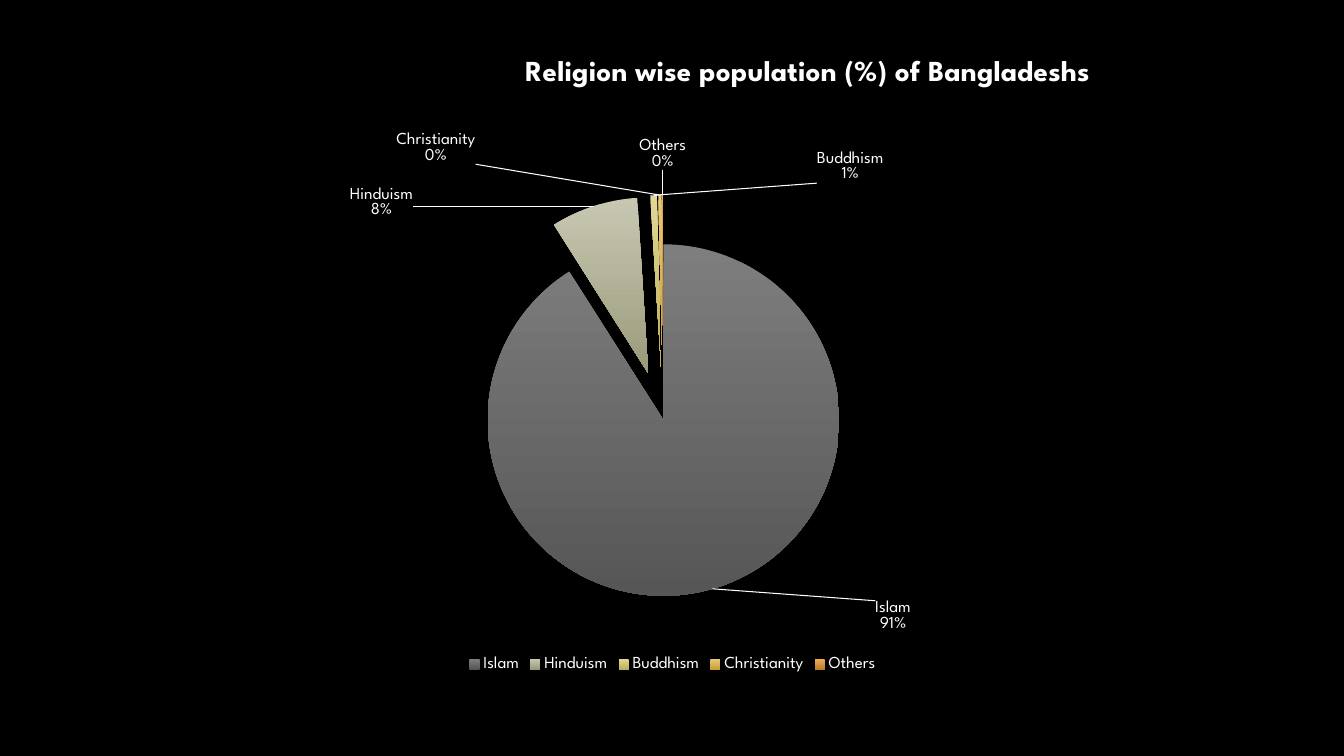
"""Build a slide with an exploded pie chart of religions in Bangladesh."""
from pptx import Presentation
from pptx.chart.data import CategoryChartData
from pptx.dml.color import RGBColor
from pptx.enum.chart import XL_CHART_TYPE, XL_LABEL_POSITION, XL_LEGEND_POSITION
from pptx.oxml import parse_xml
from pptx.oxml.ns import nsdecls
from pptx.util import Inches, Pt

PIE = XL_CHART_TYPE.PIE
BEST_FIT = XL_LABEL_POSITION.BEST_FIT
BOTTOM = XL_LEGEND_POSITION.BOTTOM

FONT = "League Spartan"
WHITE = "FFFFFF"
BLACK = "000000"
TITLE = "Religion wise population (%) of Bangladeshs"
EXPLOSION = 28

RELIGIONS = [
    ("Islam", 91, "7E7E7E", "565656", (0.18, 0.01)),
    ("Hinduism", 8, "C8C8B2", "9A9A7B", (-0.2, 0.03)),
    ("Buddhism", 0.6, "E1D797", "BDAF55", (0.22, -0.01)),
    ("Christianity", 0.3, "EAC778", "CC9F32", (-0.25, -0.04)),
    ("Others", 0.1, "EBAB5C", "BD7E25", (0, -0.03)),
]


def color(value):
    """Turn a hex string into a colour."""
    return RGBColor.from_string(value)


def style_font(font, size, bold=False):
    """Give a font the slide's typeface in white."""
    font.name = FONT
    font.size = Pt(size)
    font.bold = bold
    font.color.rgb = color(WHITE)


def layout_xml(x, y, width=None, height=None, inner=False, edge=False):
    """Return a manual chart layout element as text."""
    parts = ['<c:layoutTarget val="inner"/>'] if inner else []
    if edge:
        parts += ['<c:xMode val="edge"/>', '<c:yMode val="edge"/>']
    sizes = (("x", x), ("y", y), ("w", width), ("h", height))
    parts += [f'<c:{tag} val="{size}"/>' for tag, size in sizes if size is not None]
    return (f'<c:layout {nsdecls("c")}><c:manualLayout>{"".join(parts)}'
            '</c:manualLayout></c:layout>')


def explosion_xml(distance):
    """Return an element that pulls slices out by a percentage."""
    return parse_xml(f'<c:explosion {nsdecls("c")} val="{distance}"/>')


def add_pie(page):
    """Add the pie chart and return it."""
    data = CategoryChartData()
    data.categories = [religion[0] for religion in RELIGIONS]
    data.add_series("Series 1", [religion[1] for religion in RELIGIONS])
    frame = page.shapes.add_chart(
        PIE, Inches(2.23), Inches(0.51), Inches(8.88), Inches(6.2), data)
    chart = frame.chart
    style_font(chart.font, 10)
    plot_area = chart.element.xpath("c:chart/c:plotArea")[0]
    for layout in plot_area.xpath("c:layout"):
        plot_area.remove(layout)
    plot_area.insert(0, parse_xml(
        layout_xml(0.07, 0.23, 0.84, 0.72, inner=True, edge=True)))
    return chart


def add_title(chart, text, size):
    """Write the chart title to the right of the centre."""
    chart.has_title = True
    title = chart.chart_title
    para = title.text_frame.paragraphs[0]
    span = para.add_run()
    span.text = text
    style_font(span.font, size, bold=True)
    title.include_in_layout = False
    element = chart.element.xpath("c:chart/c:title")[0]
    for layout in element.xpath("c:layout"):
        element.remove(layout)
    element.xpath("c:tx")[0].addnext(parse_xml(layout_xml(0.33, 0, edge=True)))


def add_legend(chart):
    """Show the legend below the pie."""
    chart.has_legend = True
    chart.legend.position = BOTTOM
    chart.legend.include_in_layout = False
    style_font(chart.legend.font, 12)


def style_slices(chart):
    """Fill every slice with its gradient and pull out all but the first."""
    series = chart.plots[0].series[0]
    for index, (_, _, top, bottom, _) in enumerate(RELIGIONS):
        look = series.points[index].format
        look.line.fill.background()
        look.fill.gradient()
        look.fill.gradient_angle = 270
        for stop, shade in zip(look.fill.gradient_stops, (top, bottom)):
            stop.color.rgb = color(shade)
    points = chart.element.xpath(".//c:ser/c:dPt")
    points[0].addprevious(explosion_xml(EXPLOSION))
    for index, point in enumerate(points):
        distance = EXPLOSION if index else 0
        point.xpath("c:spPr")[0].addprevious(explosion_xml(distance))


def add_labels(chart):
    """Label the slices with name and share, joined by leader lines."""
    labels = chart.plots[0].series[0].data_labels
    style_font(labels.font, 12)
    labels.position = BEST_FIT
    labels.show_value = False
    labels.show_category_name = True
    labels.show_percentage = True
    element = chart.element.xpath(".//c:ser/c:dLbls")[0]
    for old in element.xpath("c:separator|c:showLeaderLines|c:leaderLines"):
        element.remove(old)
    element.append(parse_xml(f'<c:separator {nsdecls("c")}>\n</c:separator>'))
    element.append(parse_xml(f'<c:showLeaderLines {nsdecls("c")} val="1"/>'))
    element.append(parse_xml(
        f'<c:leaderLines {nsdecls("c", "a")}><c:spPr><a:ln w="9525"><a:solidFill>'
        f'<a:srgbClr val="{WHITE}"/></a:solidFill></a:ln></c:spPr></c:leaderLines>'))
    for index, religion in enumerate(RELIGIONS):
        element.insert(index, parse_xml(
            f'<c:dLbl {nsdecls("c")}><c:idx val="{index}"/>{layout_xml(*religion[4])}'
            '<c:dLblPos val="bestFit"/><c:showLegendKey val="0"/><c:showVal val="0"/>'
            '<c:showCatName val="1"/><c:showSerName val="0"/><c:showPercent val="1"/>'
            '<c:showBubbleSize val="0"/><c:separator>\n</c:separator></c:dLbl>'))


def main():
    """Build and save the slide."""
    deck = Presentation()
    deck.slide_width = Inches(13.33)
    deck.slide_height = Inches(7.5)
    page = deck.slides.add_slide(deck.slide_layouts[6])
    page.background.fill.solid()
    page.background.fill.fore_color.rgb = color(BLACK)
    chart = add_pie(page)
    add_title(chart, TITLE, 20.7)
    add_legend(chart)
    style_slices(chart)
    add_labels(chart)
    deck.save("out.pptx")


if __name__ == "__main__":
    main()
